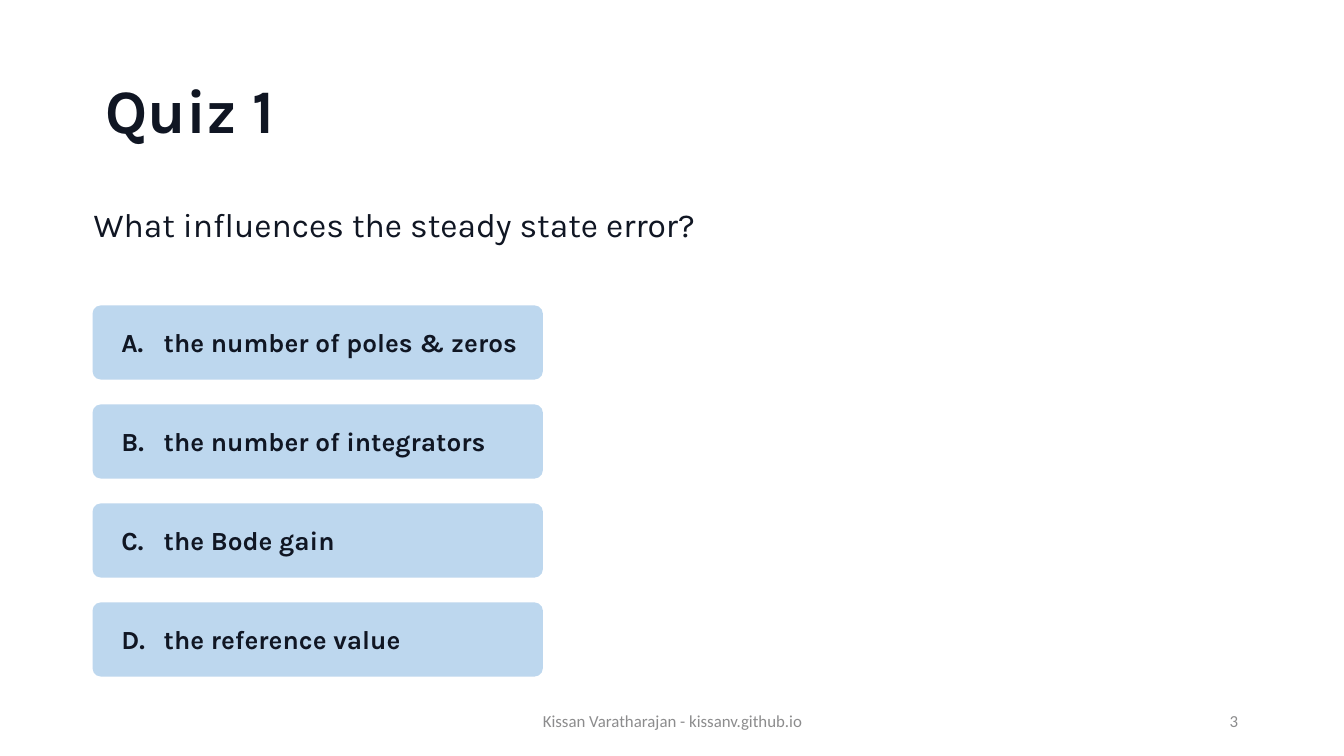
"""Build a quiz slide with one question and four answer cards."""
from dataclasses import dataclass
from typing import NamedTuple

from lxml.etree import SubElement
from pptx import Presentation
from pptx.dml.color import RGBColor
from pptx.enum.shapes import MSO_SHAPE
from pptx.enum.text import MSO_ANCHOR, PP_ALIGN
from pptx.oxml.ns import qn
from pptx.shapes.autoshape import Shape
from pptx.slide import Slide
from pptx.util import Cm


@dataclass(frozen=True)
class Theme:
    ink: RGBColor = RGBColor(0x10, 0x16, 0x23)
    grey: RGBColor = RGBColor(0x8C, 0x8C, 0x8D)
    card: RGBColor = RGBColor(0xBD, 0xD7, 0xEE)
    main: str = "Karla"
    small: str = "Calibri"
    title: int = 33
    body: int = 18
    answer: int = 14
    footer: int = 9


class Area(NamedTuple):
    left: float
    top: float
    width: float
    height: float

    def lengths(self) -> list[Cm]:
        return [Cm(side) for side in self]


class Label(NamedTuple):
    text: str
    area: Area
    font: dict
    frame: dict
    para: dict


class Answer(NamedTuple):
    letter: str
    text: str


THEME = Theme()
CARD = Area(1.75, 5.77, 8.51, 1.4)
STEP = 1.87
HANG = Cm(0.8)


def style(size: int, name: str = THEME.main, color: RGBColor = THEME.ink,
          bold: bool = False) -> dict:
    return {"size": Cm(size * 2.54 / 72), "name": name, "bold": bold, "color": color}


def assign(target: object, values: dict) -> None:
    for key, value in values.items():
        if key == "color":
            target.color.rgb = value
        else:
            setattr(target, key, value)


def write(shape: Shape, text: str, font: dict, frame: dict, para: dict) -> None:
    box = shape.text_frame
    assign(box, {"word_wrap": True, **frame})
    line = box.paragraphs[0]
    assign(line, para)
    run = line.add_run()
    run.text = text
    assign(run.font, font)


def draw_label(slide: Slide, label: Label) -> None:
    shape = slide.shapes.add_textbox(*label.area.lengths())
    write(shape, label.text, label.font, label.frame, label.para)


def draw_answer(slide: Slide, answer: Answer, row: int) -> None:
    area = CARD._replace(top=CARD.top + row * STEP)
    shape = slide.shapes.add_shape(MSO_SHAPE.ROUNDED_RECTANGLE, *area.lengths())
    shape.adjustments[0] = 0.11
    shape.shadow.inherit = False
    shape.fill.solid()
    shape.fill.fore_color.rgb = THEME.card
    shape.line.fill.background()
    write(shape, f"{answer.letter}.\t{answer.text}", style(THEME.answer, bold=True),
          {"margin_left": Cm(0.5), "vertical_anchor": MSO_ANCHOR.MIDDLE},
          {"alignment": PP_ALIGN.LEFT})
    props = shape.text_frame.paragraphs[0]._p.get_or_add_pPr()
    props.set("marL", str(HANG))
    props.set("indent", str(-HANG))
    tabs = SubElement(props, qn("a:tabLst"))
    SubElement(tabs, qn("a:tab"), pos=str(HANG), algn="l")


def main() -> None:
    deck = Presentation()
    deck.slide_width, deck.slide_height = Cm(25.4), Cm(14.28)
    slide = deck.slides.add_slide(deck.slide_layouts[6])
    middle = {"vertical_anchor": MSO_ANCHOR.MIDDLE}
    tight = {"line_spacing": 0.9}
    footer = style(THEME.footer, THEME.small, THEME.grey)
    labels = [
        Label("Quiz 1", Area(1.75, 0.76, 21.9, 2.77),
              style(THEME.title, bold=True), middle, tight),
        Label("What influences the steady state error?",
              Area(1.52, 3.81, 23.88, 9.07), style(THEME.body), {}, tight),
        Label("Kissan Varatharajan - kissanv.github.io",
              Area(8.41, 13.23, 8.59, 0.76), footer, middle,
              {"alignment": PP_ALIGN.CENTER}),
        Label("3", Area(17.93, 13.23, 5.72, 0.76), footer, middle,
              {"alignment": PP_ALIGN.RIGHT}),
    ]
    for label in labels:
        draw_label(slide, label)
    answers = [
        Answer("A", "the number of poles & zeros"),
        Answer("B", "the number of integrators"),
        Answer("C", "the Bode gain"),
        Answer("D", "the reference value"),
    ]
    for row, answer in enumerate(answers):
        draw_answer(slide, answer, row)
    deck.save("out.pptx")


if __name__ == "__main__":
    main()
